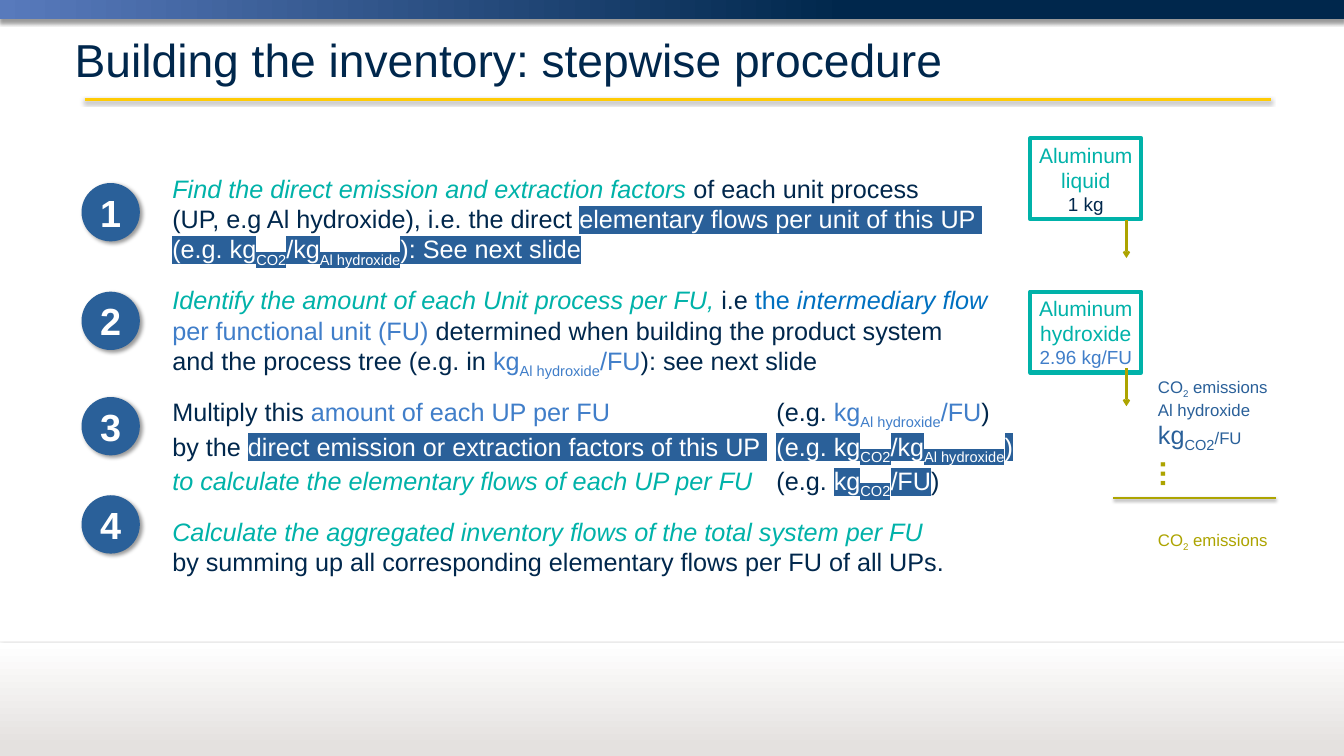
import pptx
import pptx.util
import pptx.dml.color
import pptx.enum.shapes
import pptx.enum.text
import pptx.oxml
import pptx.oxml.ns
from lxml import etree

Cm, Pt = pptx.util.Cm, pptx.util.Pt
ALIGN = pptx.enum.text.PP_ALIGN
ANCHOR = pptx.enum.text.MSO_ANCHOR
SHAPE = pptx.enum.shapes.MSO_SHAPE

COLORS = {
    "navy": "00274C", "sky": "587ABC", "gold": "FFCB05", "stone": "E4E1DF",
    "white": "FFFFFF", "teal": "00B2A9", "blue": "407EC9", "azure": "0070C0",
    "steel": "2A6099", "olive": "ADA400", "black": "000000",
}

STYLES = {
    "plain": {"color": "navy"},
    "key": {"color": "teal", "italic": True},
    "blue": {"color": "blue"},
    "blue_sub": {"color": "blue", "sub": True},
    "azure": {"color": "azure"},
    "azure_key": {"color": "azure", "italic": True},
    "mark": {"color": "white", "mark": "steel"},
    "mark_sub": {"color": "white", "mark": "steel", "sub": True},
    "teal": {"color": "teal", "size": 20},
    "amount": {"color": "navy", "size": 18},
    "flow": {"color": "blue", "size": 18},
    "small": {"color": "steel", "size": 16},
    "small_sub": {"color": "steel", "size": 16, "sub": True},
    "unit": {"color": "steel"},
    "unit_sub": {"color": "steel", "sub": True},
    "sum": {"color": "olive", "size": 16},
    "sum_sub": {"color": "olive", "size": 16, "sub": True},
    "dots": {"color": "olive", "size": 28, "bold": True},
    "number": {"color": "white", "size": 36, "bold": True},
    "title": {"color": "navy", "size": 44},
}

TITLE = [[("Building the inventory: stepwise procedure", "title")]]
STEPS = [
    [("Find the direct emission and extraction factors ", "key"),
     ("of each unit process\n(UP, e.g Al hydroxide), i.e. the direct ", "plain"),
     ("elementary flows per unit of this UP \n(e.g. kg", "mark"),
     ("CO2", "mark_sub"), ("/kg", "mark"), ("Al hydroxide", "mark_sub"),
     ("): See next slide", "mark")],
    [("Identify the amount of each Unit process per FU, ", "key"),
     ("i.e ", "plain"), ("the ", "azure"), ("intermediary flow\n", "azure_key"),
     ("per functional unit (FU) ", "blue"),
     ("determined when building the product system\n"
      "and the process tree (e.g. in ", "plain"),
     ("kg", "blue"), ("Al hydroxide", "blue_sub"), ("/FU", "blue"),
     ("): see next slide", "plain")],
    [("Multiply this ", "plain"), ("amount of each UP per FU\t", "blue"),
     ("(e.g. ", "plain"), ("kg", "blue"), ("Al hydroxide", "blue_sub"),
     ("/FU", "blue"), (")\nby the ", "plain"),
     ("direct emission or extraction factors of this UP \t(e.g. kg", "mark"),
     ("CO2", "mark_sub"), ("/kg", "mark"), ("Al hydroxide", "mark_sub"),
     (")\n", "mark"),
     ("to calculate the elementary flows of each UP per FU\t", "key"),
     ("(e.g. ", "plain"), ("kg", "mark"), ("CO2", "mark_sub"),
     ("/FU", "mark"), (")", "plain")],
    [("Calculate the aggregated inventory flows of the total system per FU\n", "key"),
     ("by summing up all corresponding elementary flows per FU of all UPs.", "plain")],
]
BADGE_TOPS = [6.15, 9.8, 13.34, 16.64]
PROCESSES = [
    (4.65, 7.39, [[("Aluminum", "teal")], [("liquid", "teal")], [("1 kg", "amount")]]),
    (9.8, 12.37, [[("Aluminum", "teal")], [("hydroxide", "teal")], [("2.96 kg/FU", "flow")]]),
]
EMISSIONS = [
    [("CO", "small"), ("2", "small_sub"), (" emissions\nAl hydroxide", "small")],
    [("kg", "unit"), ("CO2", "unit_sub"), ("/FU", "small")],
]
TOTAL = [[("CO", "sum"), ("2", "sum_sub"), (" emissions", "sum")]]
DOTS = [[("…", "dots")]]

WIDTH, HEIGHT = 45.16, 25.4
TAB_STOP = 20.3
LINE_SHADOW = (38, 3.1, 1.6, 90)


def rgb(name):
    return pptx.dml.color.RGBColor.from_string(COLORS[name])


def child(parent, tag, **attributes):
    element = etree.SubElement(parent, pptx.oxml.ns.qn(tag))
    for key, value in attributes.items():
        element.set(key, str(value))
    return element


def set_shadow(item, shadow=None):
    effects = child(item._element.spPr, "a:effectLst")
    if shadow:
        alpha, blur, distance, angle = shadow
        outer = child(effects, "a:outerShdw", blurRad=Pt(blur), dist=Pt(distance),
                      dir=angle * 60000, algn="ctr", rotWithShape=0)
        color = child(outer, "a:srgbClr", val=COLORS["black"])
        child(color, "a:alpha", val=alpha * 1000)


def add_span(para, text, style):
    for index, part in enumerate(text.split("\n")):
        if index:
            para.add_line_break()
        if not part:
            continue
        span = para.add_run()
        span.text = part
        font = span.font
        font.size = Pt(style.get("size", 24))
        font.bold = style.get("bold", False)
        font.italic = style.get("italic", False)
        font.color.rgb = rgb(style["color"])
        properties = font._element
        if "mark" in style:
            child(child(properties, "a:highlight"), "a:srgbClr", val=COLORS[style["mark"]])
        if style.get("sub"):
            properties.set("baseline", "-25000")
        font.name = "Arial"


def write(box, paragraphs, align=ALIGN.LEFT, anchor=ANCHOR.TOP, after=0, tab=None):
    frame = box.text_frame
    frame.word_wrap = True
    frame.vertical_anchor = anchor
    for index, spans in enumerate(paragraphs):
        para = frame.add_paragraph() if index else frame.paragraphs[0]
        para.alignment = align
        para.space_after = Pt(after)
        if tab:
            tabs = child(para._p.get_or_add_pPr(), "a:tabLst")
            child(tabs, "a:tab", pos=Cm(tab), algn="l")
        for text, style in spans:
            add_span(para, text, STYLES[style])


def add_text(page, place, paragraphs, **options):
    box = page.shapes.add_textbox(*map(Cm, place))
    write(box, paragraphs, **options)
    return box


def add_band(page, place, stops, angle, shadow):
    band = page.shapes.add_shape(SHAPE.RECTANGLE, *map(Cm, place))
    band.fill.gradient()
    band.fill.gradient_angle = angle
    for stop, (position, color) in zip(band.fill.gradient_stops, stops):
        stop.position = position
        stop.color.rgb = rgb(color)
    band.line.fill.background()
    set_shadow(band, shadow)


def add_line(page, ends, color, width, shadow=None, arrow=False, alpha=None):
    line = page.shapes.add_connector(
        pptx.enum.shapes.MSO_CONNECTOR.STRAIGHT, *map(Cm, ends))
    line.line.color.rgb = rgb(color)
    line.line.width = Pt(width)
    stroke = line.line._get_or_add_ln()
    if alpha:
        child(stroke.find(".//" + pptx.oxml.ns.qn("a:srgbClr")), "a:alpha", val=alpha * 1000)
    if arrow:
        child(stroke, "a:tailEnd", type="arrow")
    set_shadow(line, shadow)


def main():
    deck = pptx.Presentation()
    deck.slide_width, deck.slide_height = Cm(WIDTH), Cm(HEIGHT)
    page = deck.slides.add_slide(deck.slide_layouts[6])

    add_band(page, (0, 0, WIDTH, 0.64), [(0.37, "navy"), (1, "sky")], 180, (40, 4, 3, 90))
    add_line(page, (2.84, 3.35, 42.7, 3.35), "gold", 3, LINE_SHADOW)
    add_band(page, (0, 21.59, WIDTH, 3.81), [(0.08, "stone"), (1, "white")], 90,
             (35, 3.1, 1.8, 90))
    add_line(page, (0, 21.56, WIDTH, 21.56), "stone", 0.75, LINE_SHADOW, alpha=30)

    add_text(page, (2.26, 0.79, 42.9, 2.41), TITLE, anchor=ANCHOR.MIDDLE)
    add_text(page, (5.54, 5.69, 31.24, 13.82), STEPS, after=16, tab=TAB_STOP)

    for number, top in enumerate(BADGE_TOPS, 1):
        badge = page.shapes.add_shape(SHAPE.OVAL, Cm(2.74), Cm(top), Cm(1.96), Cm(1.96))
        badge.fill.solid()
        badge.fill.fore_color.rgb = rgb("steel")
        badge.line.fill.background()
        set_shadow(badge, (40, 4, 3, 45))
        write(badge, [[(str(number), "number")]], ALIGN.CENTER, ANCHOR.MIDDLE)

    for top, arrow_top, label in PROCESSES:
        process = page.shapes.add_shape(
            SHAPE.RECTANGLE, Cm(34.62), Cm(top), Cm(3.73), Cm(2.72))
        process.fill.background()
        process.line.color.rgb = rgb("teal")
        process.line.width = Pt(4)
        set_shadow(process)
        write(process, label, ALIGN.CENTER)
        add_line(page, (37.85, arrow_top, 37.85, arrow_top + 1.28), "olive", 2, arrow=True)

    add_text(page, (38.66, 12.52, 5.21, 2.84), EMISSIONS)
    add_text(page, (38.66, 17.68, 4.72, 1.7), TOTAL)
    add_line(page, (37.41, 16.74, 42.88, 16.74), "olive", 2, LINE_SHADOW)
    dots = add_text(page, (37.41, 16.43, 3.96, 1.45), DOTS)
    dots.rotation = 90

    deck.save("out.pptx")


if __name__ == "__main__":
    main()
